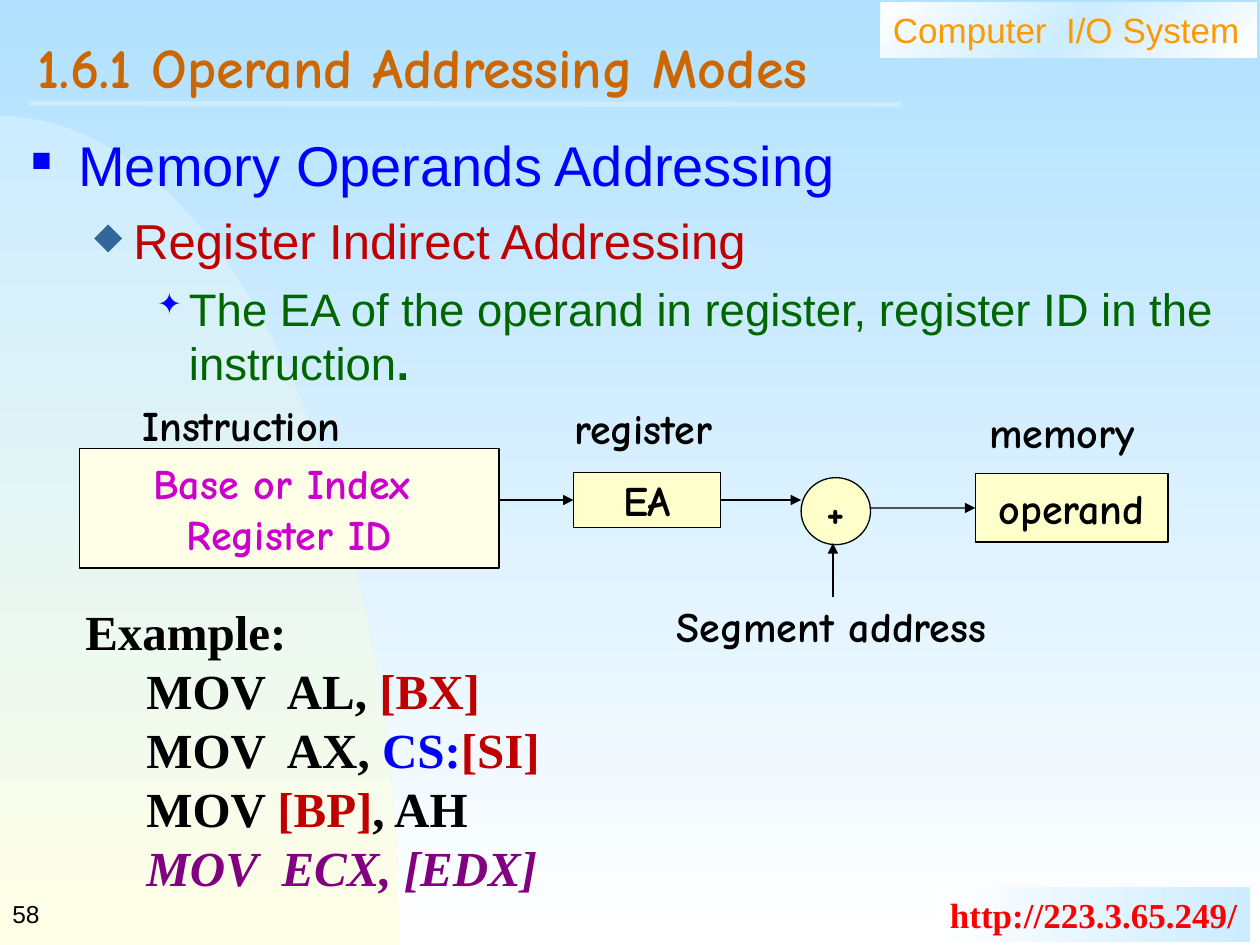
from dataclasses import dataclass
from typing import Any, Optional, Sequence

import lxml.etree
import pptx
import pptx.dml.color
import pptx.enum.dml
import pptx.enum.shapes
import pptx.enum.text
import pptx.oxml.ns
import pptx.util
from copy import deepcopy

Cm = pptx.util.Cm
Pt = pptx.util.Pt
qn = pptx.oxml.ns.qn
ALIGN = pptx.enum.text.PP_ALIGN
ANCHOR = pptx.enum.text.MSO_ANCHOR
PRESET = pptx.enum.shapes.MSO_SHAPE


@dataclass(frozen=True)
class Theme:
    sans: str = "Arial"
    serif: str = "Times New Roman"
    comic: str = "Comic Neue"
    black: str = "000000"
    white: str = "FFFFFF"
    sky: str = "B1E1FF"
    ice: str = "CCECFF"
    ivory: str = "FFFFE7"
    cream: str = "FFFFCC"
    orange: str = "FF9900"
    brown: str = "CC6600"
    blue: str = "0000FF"
    steel: str = "336699"
    crimson: str = "C00000"
    red: str = "FF0000"
    green: str = "006600"
    magenta: str = "CC00CC"
    purple: str = "800080"
    heading: int = 32
    topic: int = 28
    detail: int = 26
    diagram: int = 24
    banner: int = 20
    page: int = 14


THEME = Theme()


@dataclass(frozen=True)
class Run:
    text: str
    color: Optional[str] = None
    bold: Optional[bool] = None
    italic: bool = False


@dataclass(frozen=True)
class Bullet:
    char: str
    color: str
    percent: int
    indent: float
    hanging: float


@dataclass(frozen=True)
class Line:
    runs: Sequence[Run]
    size: Optional[int] = None
    bullet: Optional[Bullet] = None
    level: int = 0
    before: float = 0


@dataclass(frozen=True)
class Box:
    left: float
    top: float
    width: float
    height: float

    def lengths(self) -> list:
        return [Cm(v) for v in (self.left, self.top, self.width, self.height)]


@dataclass(frozen=True)
class Node:
    box: Box
    lines: Sequence[str]
    fill: str = THEME.cream
    color: str = THEME.black
    preset: Any = PRESET.RECTANGLE


@dataclass(frozen=True)
class Caption:
    text: str
    left: float
    top: float
    width: float


def rgb(code: str) -> Any:
    return pptx.dml.color.RGBColor.from_string(code)


def add_bullet(paragraph: Any, bullet: Bullet) -> None:
    props = paragraph._p.get_or_add_pPr()
    props.set("marL", str(Cm(bullet.indent)))
    props.set("indent", str(-Cm(bullet.hanging)))
    color = lxml.etree.SubElement(props, qn("a:buClr"))
    lxml.etree.SubElement(color, qn("a:srgbClr"), val=bullet.color)
    lxml.etree.SubElement(props, qn("a:buSzPct"), val=str(bullet.percent * 1000))
    lxml.etree.SubElement(props, qn("a:buChar"), char=bullet.char)


def write(frame: Any, lines: Sequence[Any], *, font: str, size: int, color: str = THEME.black,
          bold: bool = False, align: Any = ALIGN.LEFT, anchor: Any = ANCHOR.TOP,
          wrap: bool = True, spacing: float = 1.0) -> None:
    frame.word_wrap = wrap
    frame.auto_size = pptx.enum.text.MSO_AUTO_SIZE.NONE
    frame.vertical_anchor = anchor
    for index, entry in enumerate(lines):
        line = Line([Run(entry)]) if isinstance(entry, str) else entry
        paragraph = frame.add_paragraph() if index else frame.paragraphs[0]
        if line.bullet:
            add_bullet(paragraph, line.bullet)
        paragraph.level = line.level
        paragraph.alignment = align
        paragraph.line_spacing = spacing
        paragraph.space_before = Pt(line.before)
        for part in line.runs:
            run = paragraph.add_run()
            run.text = part.text
            run.font.name = font
            run.font.size = Pt(line.size or size)
            run.font.bold = bold if part.bold is None else part.bold
            run.font.italic = part.italic
            run.font.color.rgb = rgb(part.color or color)


def paint_gradient(fill: Any, element: Any, colors: Sequence[str], angle: float) -> None:
    fill.gradient()
    fill.gradient_angle = angle
    stops = next(element.iter(qn("a:gsLst")))
    while len(stops) < len(colors):
        stops.append(deepcopy(stops[-1]))
    for index, (stop, color) in enumerate(zip(fill.gradient_stops, colors)):
        stop.color.rgb = rgb(color)
        stop.position = index / (len(colors) - 1)


def add_panel(slide: Any, box: Box, colors: Sequence[str], angle: float) -> Any:
    panel = slide.shapes.add_shape(PRESET.RECTANGLE, *box.lengths())
    panel.shadow.inherit = False
    panel.line.fill.background()
    paint_gradient(panel.fill, panel.element, colors, angle)
    return panel


def add_swoosh(slide: Any) -> None:
    right, top, bottom, steps = 8.05, 2.34, 19.05, 48
    controls = [(0, top), (4.45, top), (right, 9.83), (right, bottom)]
    curve = []
    for step in range(1, steps + 1):
        t = step / steps
        weights = [(1 - t) ** 3, 3 * t * (1 - t) ** 2, 3 * t ** 2 * (1 - t), t ** 3]
        curve.append(tuple(Cm(sum(w * p[axis] for w, p in zip(weights, controls)))
                           for axis in (0, 1)))
    builder = slide.shapes.build_freeform(0, Cm(top))
    builder.add_line_segments(curve + [(0, Cm(bottom))], close=True)
    swoosh = builder.convert_to_shape()
    swoosh.shadow.inherit = False
    swoosh.line.fill.background()
    paint_gradient(swoosh.fill, swoosh.element, [THEME.ice, THEME.ivory], 270)


def add_line(slide: Any, start: tuple, end: tuple, *, color: str = THEME.black,
             width: float = 0.75, arrow: bool = True) -> Any:
    line = slide.shapes.add_connector(pptx.enum.shapes.MSO_CONNECTOR.STRAIGHT,
                                      *[Cm(v) for v in (*start, *end)])
    line.line.color.rgb = rgb(color)
    line.line.width = Pt(width)
    if arrow:
        lxml.etree.SubElement(next(line.element.iter(qn("a:ln"))), qn("a:tailEnd"), type="triangle")
    lxml.etree.SubElement(line.element.spPr, qn("a:effectLst"))
    return line


def add_node(slide: Any, node: Node) -> Any:
    shape = slide.shapes.add_shape(node.preset, *node.box.lengths())
    shape.shadow.inherit = False
    shape.fill.solid()
    shape.fill.fore_color.rgb = rgb(node.fill)
    shape.line.color.rgb = rgb(THEME.black)
    shape.line.width = Pt(0.75)
    write(shape.text_frame, node.lines, font=THEME.comic, size=THEME.diagram, color=node.color,
          bold=True, align=ALIGN.CENTER, anchor=ANCHOR.MIDDLE, wrap=False)
    return shape


def add_text(slide: Any, box: Box, lines: Sequence[Any], **formatting: Any) -> Any:
    holder = slide.shapes.add_textbox(*box.lengths())
    write(holder.text_frame, lines, **formatting)
    return holder


def add_backdrop(slide: Any) -> None:
    paint_gradient(slide.background.fill, slide.element, [THEME.sky, THEME.white], 270)
    add_swoosh(slide)
    course = add_panel(slide, Box(17.75, 0.05, 7.59, 1.12), [THEME.white, THEME.ice, THEME.white], 315)
    write(course.text_frame, ["Computer  I/O System"], font=THEME.sans, size=THEME.banner,
          color=THEME.orange)
    address = add_panel(slide, Box(18.9, 17.88, 6.3, 1.12), [THEME.white, THEME.ice], 0)
    write(address.text_frame, ["http://223.3.65.249/"], font=THEME.serif, size=THEME.banner,
          color=THEME.red, bold=True, wrap=False)
    add_line(slide, (0.58, 2.08), (18.16, 2.11), color=THEME.ice, width=3, arrow=False)


def add_outline(slide: Any) -> None:
    title = slide.shapes.title
    title.element.getparent().append(title.element)
    title.left, title.top, title.width, title.height = Box(0.51, 0.51, 24.26, 1.96).lengths()
    write(title.text_frame, ["1.6.1 Operand Addressing Modes"], font=THEME.comic,
          size=THEME.heading, color=THEME.brown, bold=True, anchor=ANCHOR.MIDDLE, spacing=0.7)
    topics = [
        Line([Run("Memory Operands Addressing", THEME.blue)], THEME.heading,
             Bullet("■", THEME.blue, 50, 0.95, 0.95)),
        Line([Run("Register Indirect Addressing", THEME.crimson)], THEME.topic,
             Bullet("◆", THEME.steel, 75, 2.06, 0.79), 1, 7),
        Line([Run("The EA of the operand in register, register ID in the instruction", THEME.green),
              Run(".", THEME.green, True)], THEME.detail,
             Bullet("✦", THEME.blue, 65, 3.18, 0.64), 2, 6.5),
    ]
    outline = add_text(slide, Box(0.38, 2.34, 24.38, 15.8), topics, font=THEME.sans, size=THEME.detail)
    outline.text_frame.margin_top = Cm(0.3)
    add_text(slide, Box(0, 17.78, 5.28, 1.27), ["58"], font=THEME.sans, size=THEME.page,
             anchor=ANCHOR.MIDDLE)


def add_diagram(slide: Any) -> None:
    add_node(slide, Node(Box(1.6, 9.04, 8.46, 2.41), ["Base or Index ", "Register ID"],
                         THEME.ivory, THEME.magenta))
    register = add_node(slide, Node(Box(11.56, 9.53, 2.97, 1.1), ["EA"]))
    operand = add_node(slide, Node(Box(19.66, 9.55, 3.89, 1.38), ["operand"]))
    add_node(slide, Node(Box(16.15, 9.63, 1.4, 1.35), ["+"], preset=PRESET.OVAL))
    add_line(slide, (10.06, 10.08), (11.56, 10.08)).end_connect(register, 1)
    add_line(slide, (14.53, 10.08), (16.15, 10.08)).begin_connect(register, 3)
    add_line(slide, (17.53, 10.24), (19.66, 10.24)).end_connect(operand, 1)
    add_line(slide, (16.79, 12.04), (16.79, 10.95))
    for caption in (Caption("memory", 19.69, 8.08, 3.84), Caption("Instruction", 2.62, 7.92, 5.56),
                    Caption("register", 11.33, 7.98, 4.06),
                    Caption("Segment address", 13.39, 11.99, 7.67)):
        add_text(slide, Box(caption.left, caption.top, caption.width, 1.27), [caption.text],
                 font=THEME.comic, size=THEME.diagram, bold=True)


def add_example(slide: Any) -> None:
    code = [
        "Example:",
        Line([Run("     MOV  AL, "), Run("[BX]", THEME.crimson)]),
        Line([Run("     MOV  AX, "), Run("CS:", THEME.blue), Run("[SI]", THEME.crimson)]),
        Line([Run("     MOV "), Run("[BP]", THEME.crimson), Run(", AH")]),
        Line([Run("     "), Run("MOV  ECX, [EDX]", THEME.purple, italic=True)]),
    ]
    add_text(slide, Box(1.47, 12.01, 9.88, 6.2), code, font=THEME.serif, size=THEME.topic,
             bold=True, wrap=False)


def main() -> None:
    deck = pptx.Presentation()
    deck.slide_width, deck.slide_height = Cm(25.4), Cm(19.05)
    slide = deck.slides.add_slide(deck.slide_layouts[5])
    add_backdrop(slide)
    add_outline(slide)
    add_diagram(slide)
    add_example(slide)
    deck.save("out.pptx")


if __name__ == "__main__":
    main()
